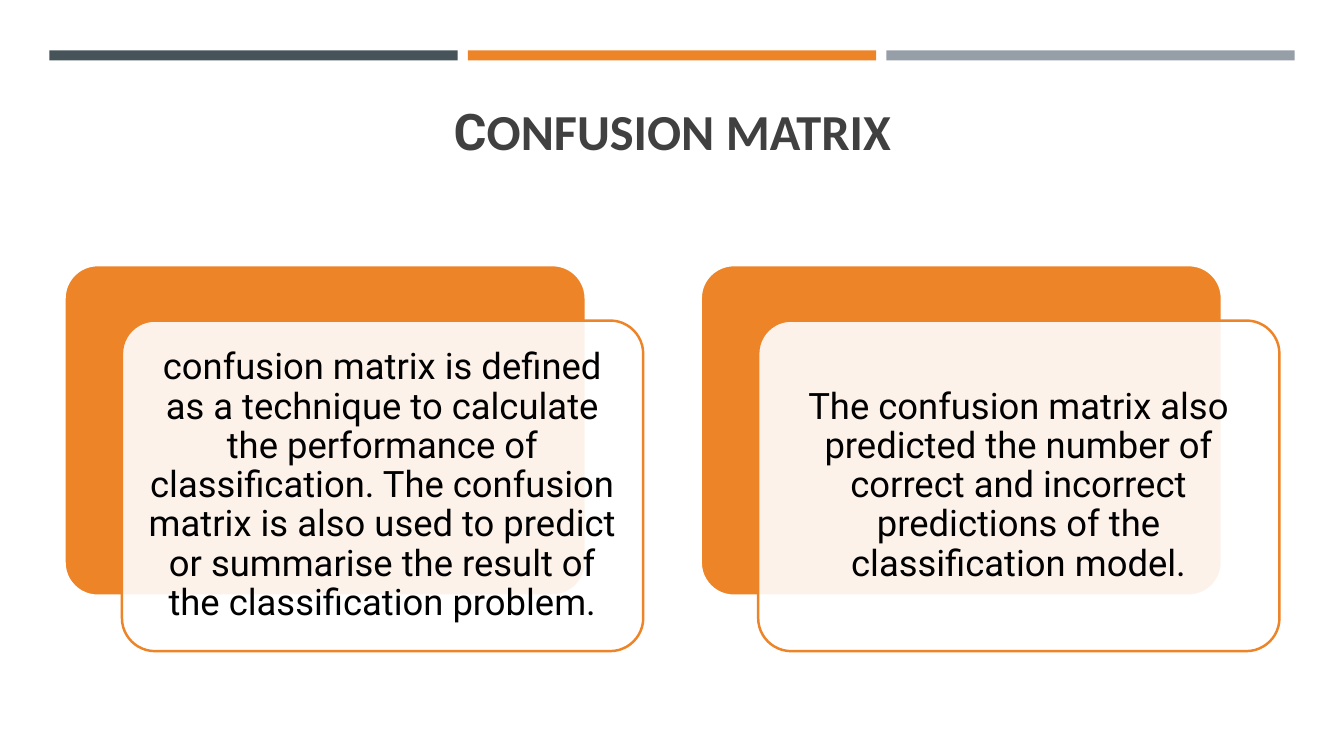
from pptx import Presentation
from pptx.dml.color import RGBColor
from pptx.enum.shapes import MSO_SHAPE
from pptx.enum.text import MSO_ANCHOR, PP_ALIGN
from pptx.oxml.ns import qn
from pptx.util import Inches, Pt
from lxml import etree

RECTANGLE = MSO_SHAPE.RECTANGLE
ROUNDED = MSO_SHAPE.ROUNDED_RECTANGLE
CENTER = PP_ALIGN.CENTER
MIDDLE, BOTTOM = MSO_ANCHOR.MIDDLE, MSO_ANCHOR.BOTTOM

SLATE = RGBColor(0x46, 0x53, 0x59)
ORANGE = RGBColor(0xED, 0x84, 0x28)
GREY = RGBColor(0x96, 0x9F, 0xA7)
WHITE = RGBColor(0xFF, 0xFF, 0xFF)
BLACK = RGBColor(0x00, 0x00, 0x00)
CHARCOAL = RGBColor(0x40, 0x40, 0x40)

CARD_WIDTH, CARD_HEIGHT = 5.17, 3.28
CARD_TOP = 2.63
CARD_OFFSET_X, CARD_OFFSET_Y = 0.57, 0.55

CARD_TEXTS = [
    "confusion matrix is defined as\u00a0a technique to calculate the performance "
    "of classification. The confusion matrix is also used to predict or summarise "
    "the result of the classification problem.",
    "The confusion matrix also predicted the number of correct and incorrect "
    "predictions of the classification model.",
]


def add_block(page, kind, left, top, width, height, fill, line=None):
    block = page.shapes.add_shape(
        kind, Inches(left), Inches(top), Inches(width), Inches(height))
    block.shadow.inherit = False
    block.fill.solid()
    block.fill.fore_color.rgb = fill
    if line is None:
        block.line.fill.background()
    else:
        block.line.color.rgb = line
        block.line.width = Pt(1.75)
    return block


def set_opacity(shape, percent):
    color = shape.fill._xPr.find(qn("a:solidFill"))[0]
    etree.SubElement(color, qn("a:alpha")).set("val", str(percent * 1000))


def format_span(span, font, size, color, bold=False):
    span.font.name = font
    span.font.size = Pt(size)
    span.font.color.rgb = color
    span.font.bold = bold


def add_title(page):
    box = page.shapes.add_textbox(
        Inches(0.64), Inches(0.77), Inches(12.06), Inches(1.3))
    frame = box.text_frame
    frame.word_wrap = True
    frame.vertical_anchor = BOTTOM
    frame.margin_bottom = Inches(0.47)
    para = frame.paragraphs[0]
    para.alignment = CENTER
    para.line_spacing = 0.9
    for text, font in (("C", "Roboto"), ("ONFUSION MATRIX", "Calibri")):
        span = para.add_run()
        span.text = text
        format_span(span, font, 36, CHARCOAL, bold=True)


def add_card(page, left, text):
    back = add_block(page, ROUNDED, left, CARD_TOP,
                     CARD_WIDTH, CARD_HEIGHT, ORANGE, WHITE)
    front = add_block(page, ROUNDED, left + CARD_OFFSET_X, CARD_TOP + CARD_OFFSET_Y,
                      CARD_WIDTH, CARD_HEIGHT, WHITE, ORANGE)
    for panel in (back, front):
        panel.adjustments[0] = 0.1
    set_opacity(front, 90)

    frame = front.text_frame
    frame.word_wrap = True
    frame.vertical_anchor = MIDDLE
    frame.margin_left = frame.margin_right = Inches(0.11)
    frame.margin_top = frame.margin_bottom = Inches(0.11)
    frame.text = text
    para = frame.paragraphs[0]
    para.alignment = CENTER
    para.line_spacing = 0.9
    format_span(para.runs[0], "Roboto", 26, BLACK)


def main():
    deck = Presentation()
    deck.slide_width, deck.slide_height = Inches(13.33), Inches(7.5)
    page = deck.slides.add_slide(deck.slide_layouts[6])

    # Colour bars along the top
    for index, color in enumerate((SLATE, ORANGE, GREY)):
        add_block(page, RECTANGLE, 0.49 + index * 4.15, 0.5, 4.05, 0.1, color)

    add_title(page)

    # Two overlapping cards
    for index, text in enumerate(CARD_TEXTS):
        add_card(page, 0.64 + index * 6.31, text)

    deck.save("out.pptx")


if __name__ == "__main__":
    main()
